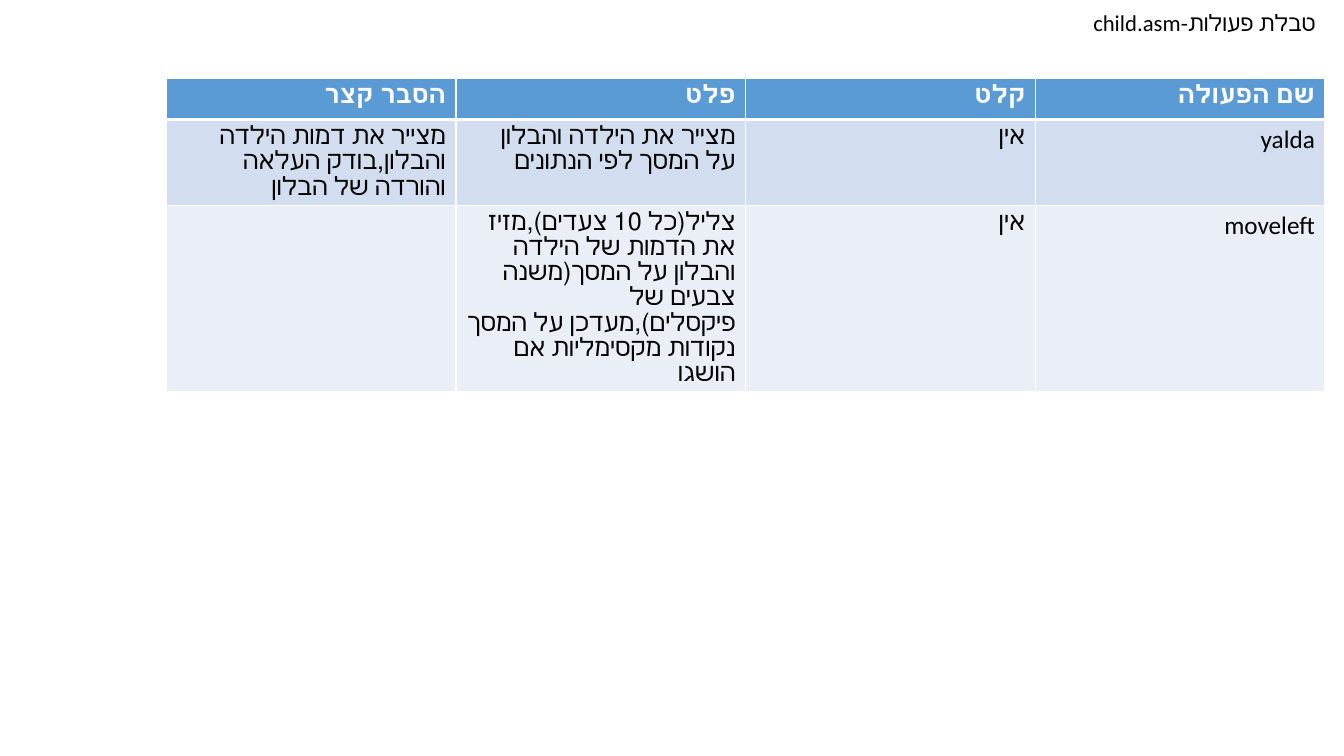
from lxml import etree
from pptx import Presentation
from pptx.dml.color import RGBColor
from pptx.enum.text import MSO_ANCHOR, MSO_AUTO_SIZE, PP_ALIGN
from pptx.oxml.ns import qn
from pptx.util import Cm, Pt

RIGHT = PP_ALIGN.RIGHT
MIDDLE = MSO_ANCHOR.MIDDLE
NO_FIT = MSO_AUTO_SIZE.NONE
COLORS = {"header": "5B9BD5", "odd": "D2DEEF", "even": "EAEFF7",
          "white": "FFFFFF", "black": "000000"}
ROWS = [
    ["הסבר קצר", "פלט", "קלט", "שם הפעולה"],
    ["מצייר את דמות הילדה והבלון,בודק העלאה והורדה של הבלון",
     "מצייר את הילדה והבלון על המסך לפי הנתונים", "אין", "yalda"],
    ["",
     "צליל(כל 10 צעדים),מזיז את הדמות של הילדה והבלון על המסך(משנה צבעים של "
     "פיקסלים),מעדכן על המסך נקודות מקסימליות אם הושגו", "אין ", "moveleft"],
]
ROW_FILLS = ["header", "odd", "even"]


def write_rtl(frame, text, color, **font_values):
    """Write one right-to-left paragraph."""
    para = frame.paragraphs[0]
    para.alignment = RIGHT
    para._p.get_or_add_pPr().set("rtl", "1")
    if text:
        span = para.add_run()
        span.text = text
        span.font.color.rgb = RGBColor.from_string(COLORS[color])
        for name, value in font_values.items():
            setattr(span.font, name, value)
    return para


def add_borders(cell, widths):
    """Draw white cell borders; widths maps each side to points."""
    properties = cell._tc.get_or_add_tcPr()
    for index, (side, width) in enumerate(widths.items()):
        line = etree.Element(qn(f"a:ln{side}"), w=str(Pt(width)))
        fill = etree.SubElement(line, qn("a:solidFill"))
        etree.SubElement(fill, qn("a:srgbClr"), val=COLORS["white"])
        properties.insert(index, line)


deck = Presentation()
deck.slide_width, deck.slide_height = Cm(33.87), Cm(19.05)
page = deck.slides.add_slide(deck.slide_layouts[5])

# Title
title = page.shapes.title
title.left, title.top, title.width, title.height = Cm(26.26), Cm(0.23), Cm(7.14), Cm(0.76)
for name, value in {"word_wrap": True, "auto_size": NO_FIT, "vertical_anchor": MIDDLE}.items():
    setattr(title.text_frame, name, value)
heading = write_rtl(title.text_frame, "טבלת פעולות-child.asm", "black",
                    name="Calibri", size=Pt(16.2))
heading.line_spacing = 0.9

# Table of procedures
holder = page.shapes.add_table(len(ROWS), len(ROWS[0]), Cm(4.19), Cm(1.98), Cm(29.2), Cm(3.09))
table = holder.table
for row_index, texts in enumerate(ROWS):
    is_header = row_index == 0
    table.rows[row_index].height = Cm(1.03)
    for column_index, text in enumerate(texts):
        cell = table.cell(row_index, column_index)
        cell.fill.solid()
        cell.fill.fore_color.rgb = RGBColor.from_string(COLORS[ROW_FILLS[row_index]])
        add_borders(cell, {"L": 1, "R": 1, "T": 3 if row_index == 1 else 1,
                           "B": 3 if is_header else 1})
        write_rtl(cell.text_frame, text, "white" if is_header else "black",
                  name="Calibri", size=Pt(18), bold=is_header)
holder.height = Cm(8.41)

deck.save("out.pptx")
